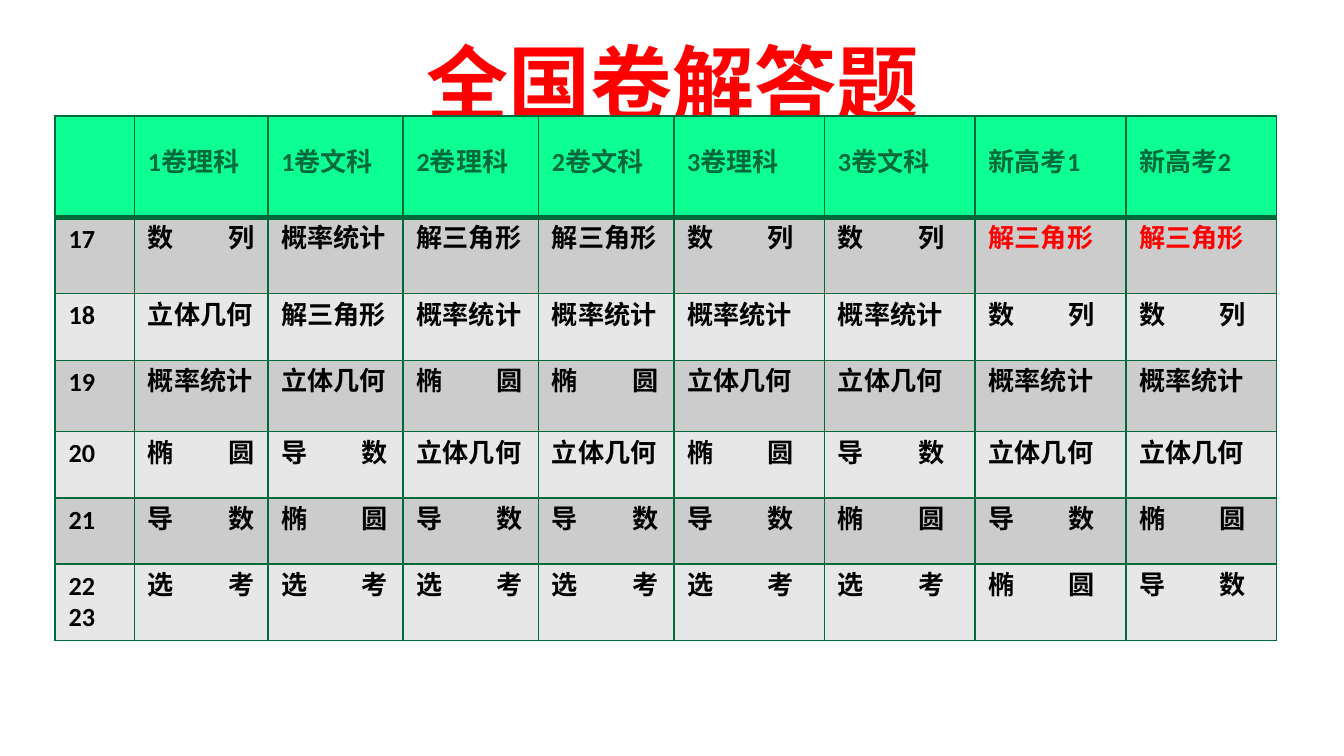
from lxml.etree import SubElement
from pptx import Presentation
from pptx.dml.color import RGBColor
from pptx.enum.text import MSO_ANCHOR, PP_ALIGN
from pptx.oxml import parse_xml
from pptx.oxml.ns import nsdecls, qn
from pptx.util import Pt

COLORS = {
    "accent": "FF0000",
    "grid": "006A3B",
    "header": "0DFF94",
    "odd": "CCCCCC",
    "even": "E7E7E7",
    "body": "000000",
}
FONT = "Calibri"
GAP_TAB = 43

COLUMN_WIDTHS = [42.5, 71.5] + [72.5] * 3 + [80.75] * 4
ROW_HEIGHTS = [54.5, 40.8, 35.8, 38.2, 35.5, 35.5, 40.8]

SEQUENCE, ELLIPSE, DERIVATIVE, ELECTIVE = "数\t列", "椭\t圆", "导\t数", "选\t考"
TRIANGLE, SOLID, PROBABILITY = "解三角形", "立体几何", "概率统计"

PAPERS = ["", "1卷理科", "1卷文科", "2卷理科", "2卷文科",
          "3卷理科", "3卷文科", "新高考1", "新高考2"]
QUESTIONS = [
    ["17", SEQUENCE, PROBABILITY, TRIANGLE, TRIANGLE,
     SEQUENCE, SEQUENCE, TRIANGLE, TRIANGLE],
    ["18", SOLID, TRIANGLE] + [PROBABILITY] * 4 + [SEQUENCE] * 2,
    ["19", PROBABILITY, SOLID, ELLIPSE, ELLIPSE,
     SOLID, SOLID, PROBABILITY, PROBABILITY],
    ["20", ELLIPSE, DERIVATIVE, SOLID, SOLID,
     ELLIPSE, DERIVATIVE, SOLID, SOLID],
    ["21", DERIVATIVE, ELLIPSE, DERIVATIVE, DERIVATIVE,
     DERIVATIVE, ELLIPSE, DERIVATIVE, ELLIPSE],
    ["22\n23"] + [ELECTIVE] * 6 + [ELLIPSE, DERIVATIVE],
]
HIGHLIGHTED = {(1, 7), (1, 8)}


def rgb(name):
    return RGBColor.from_string(COLORS[name])


def style_font(paragraph, size, color):
    font = paragraph.font
    font.name, font.size, font.bold = FONT, Pt(size), True
    font.color.rgb = rgb(color)


def add_gap_tab(paragraph):
    """Add the tab stop that spreads a two-character topic."""
    tabs = SubElement(paragraph._p.get_or_add_pPr(), qn("a:tabLst"))
    SubElement(tabs, qn("a:tab"), pos=str(Pt(GAP_TAB)), algn="l")


def set_borders(cell, top, bottom):
    """Draw the four cell edges; call before the fill is set."""
    properties = cell._tc.get_or_add_tcPr()
    for side, width in (("L", 1), ("R", 1), ("T", top), ("B", bottom)):
        properties.append(parse_xml(
            f'<a:ln{side} {nsdecls("a")} w="{Pt(width)}"><a:solidFill>'
            f'<a:srgbClr val="{COLORS["grid"]}"/></a:solidFill></a:ln{side}>'))


def fill_cell(cell, text, fill, color, spacing, top=1, bottom=1):
    set_borders(cell, top, bottom)
    cell.fill.solid()
    cell.fill.fore_color.rgb = rgb(fill)
    cell.text = text
    for paragraph in cell.text_frame.paragraphs:
        paragraph.line_spacing = spacing
        if "\t" in text:
            add_gap_tab(paragraph)
        style_font(paragraph, 14, color)


def place_title(slide, left, top, width, height):
    title = slide.shapes.title
    title.left, title.top = Pt(left), Pt(top)
    title.width, title.height = Pt(width), Pt(height)
    title.text_frame.text = "全国卷解答题"
    title.text_frame.vertical_anchor = MSO_ANCHOR.MIDDLE
    heading = title.text_frame.paragraphs[0]
    heading.alignment = PP_ALIGN.CENTER
    style_font(heading, 44, "accent")


def place_topics(slide, left, top):
    """Add the table of topics by question number and exam paper."""
    topics = slide.shapes.add_table(
        len(ROW_HEIGHTS), len(COLUMN_WIDTHS), Pt(left), Pt(top),
        Pt(sum(COLUMN_WIDTHS)), Pt(sum(ROW_HEIGHTS))).table
    for column, width in zip(topics.columns, COLUMN_WIDTHS):
        column.width = Pt(width)
    for row, height in zip(topics.rows, ROW_HEIGHTS):
        row.height = Pt(height)
    for c, paper in enumerate(PAPERS):
        fill_cell(topics.cell(0, c), paper, "header", "grid", 1.5, bottom=3)
    for r, question in enumerate(QUESTIONS, 1):
        for c, topic in enumerate(question):
            fill_cell(topics.cell(r, c), topic,
                      "odd" if r % 2 else "even",
                      "accent" if (r, c) in HIGHLIGHTED else "body",
                      Pt(16.8), top=3 if r == 1 else 1)


def main():
    deck = Presentation()
    deck.slide_width, deck.slide_height = Pt(720), Pt(405)
    slide = deck.slides.add_slide(deck.slide_layouts[5])
    place_title(slide, 36.5, 10, 648, 68)
    place_topics(slide, 29.5, 62)
    deck.save("out.pptx")


if __name__ == "__main__":
    main()
